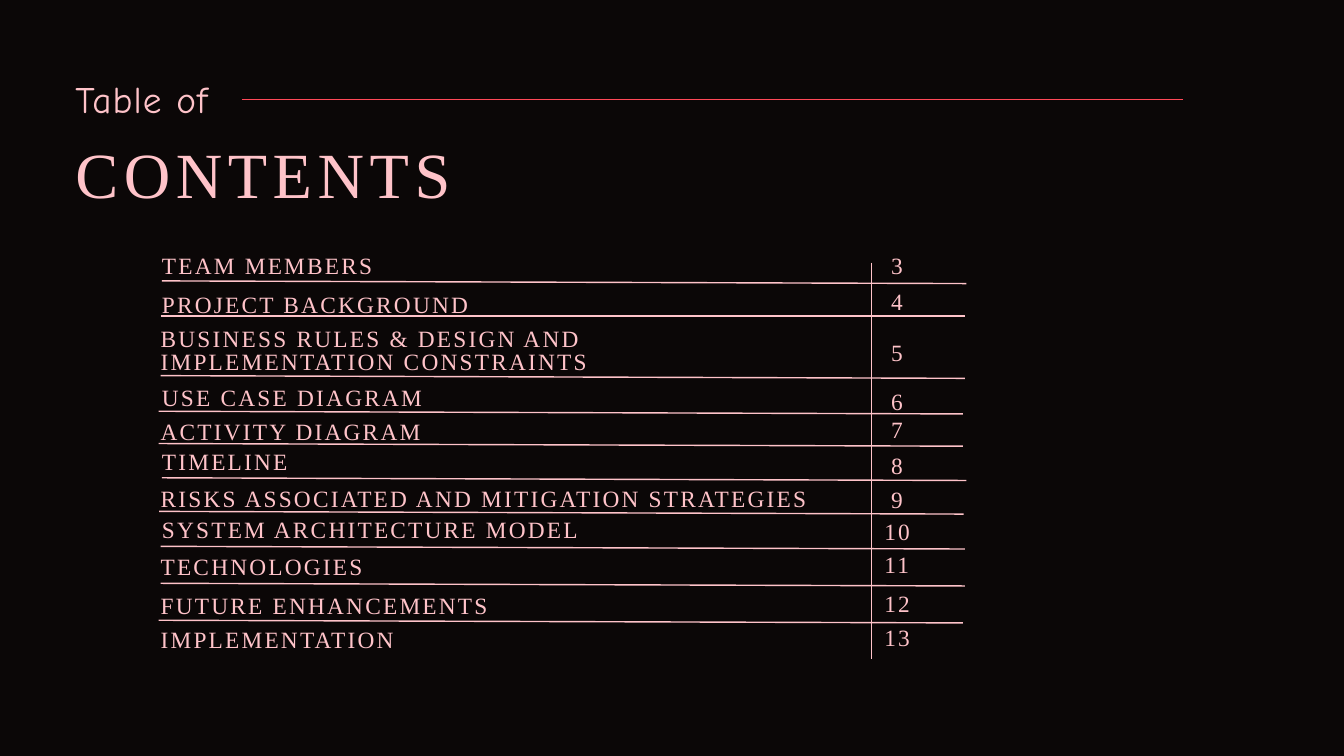
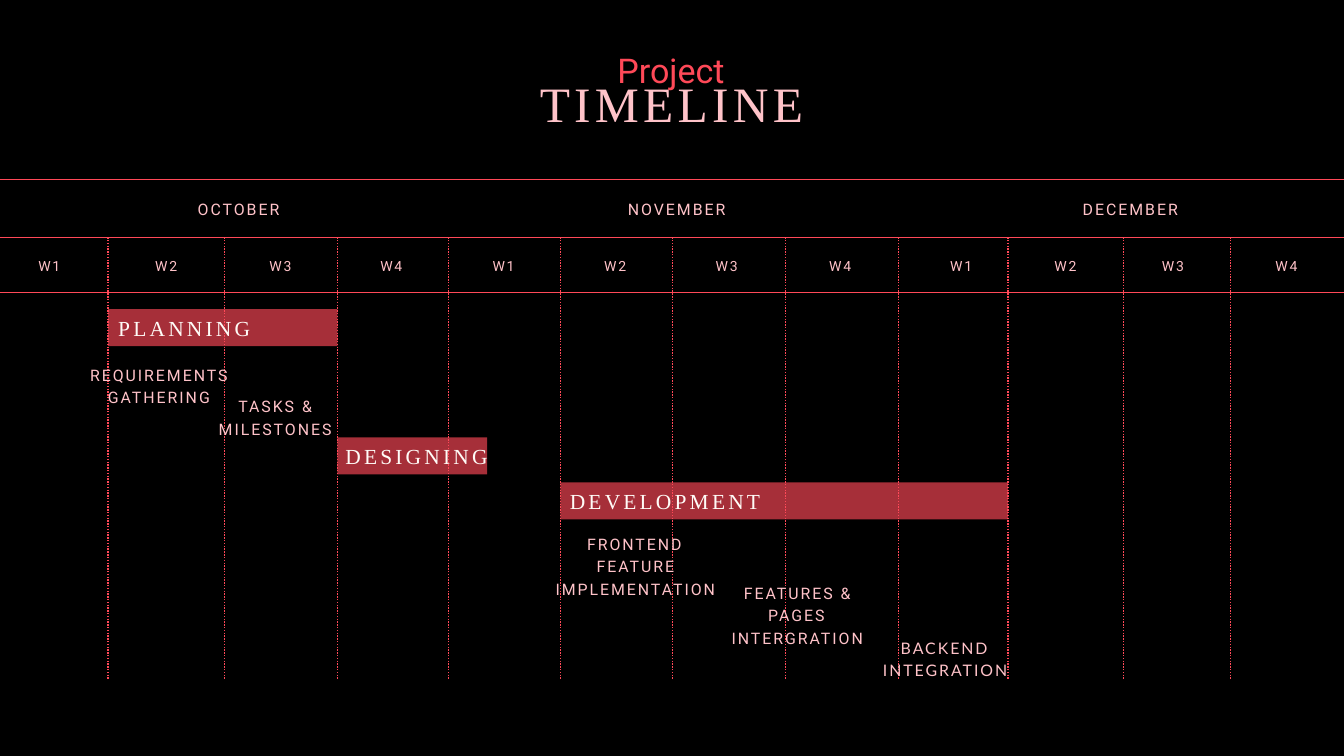
from lxml.etree import SubElement
from pptx import Presentation
from pptx.dml.color import RGBColor
from pptx.enum.dml import MSO_LINE
from pptx.enum.shapes import MSO_CONNECTOR as Link, MSO_SHAPE as Shape
from pptx.enum.text import MSO_ANCHOR as Anchor, MSO_AUTO_SIZE as Fit, PP_ALIGN as Align
from pptx.oxml.ns import qn
from pptx.util import Inches, Pt

WIDE, HIGH = 20, 11.25
PINK, RED, CREAM = "FFC3C9", "FF4958", "FFFBF7"
SERIF, SANS = "Times New Roman", "Roboto"

# style: font, size, colour, letter gap, line pitch
STYLES = {
    "lead": ("Comic Neue", 40, PINK, 1.2, 56),
    "head": (SERIF, 69, PINK, 6, 96.6),
    "entry": (SERIF, 25, PINK, 2.4, 35),
    "tight": (SERIF, 25, PINK, 2.4, 25),
    "kicker": (SANS, 36.5, RED, 0, 51.1),
    "chart head": (SERIF, 53, PINK, 4.6, 57.8),
    "month": (SANS, 17, PINK, 2.1, 23.8),
    "week": (SANS, 15, PINK, 1.9, 21),
    "phase": (SERIF, 23, CREAM, 3.4, 25.1),
    "task": (SANS, 17, PINK, 2.1, 23.8),
    "late task": ("Lato", 17, PINK, 2.1, 23.8),
}

# text, left, top, page, page top
ENTRIES = [
    ("TEAM MEMBERS", 2.41, 3.67, 3, 3.67),
    ("PROJECT BACKGROUND", 2.41, 4.25, 4, 4.2),
    ("BUSINESS RULES & DESIGN AND IMPLEMENTATION CONSTRAINTS", 2.39, 4.89, 5, 4.96),
    ("USE CASE DIAGRAM", 2.41, 5.63, 6, 5.69),
    ("ACTIVITY DIAGRAM", 2.39, 6.14, 7, 6.11),
    ("TIMELINE", 2.41, 6.59, 8, 6.65),
    ("RISKS ASSOCIATED AND MITIGATION STRATEGIES", 2.39, 7.13, 9, 7.15),
    ("SYSTEM ARCHITECTURE MODEL", 2.41, 7.6, 10, 7.63),
    ("TECHNOLOGIES", 2.39, 8.15, 11, 8.12),
    ("FUTURE ENHANCEMENTS", 2.39, 8.73, 12, 8.7),
    ("IMPLEMENTATION", 2.39, 9.24, 13, 9.21),
]
# left, top, drop
RULES = [
    (2.41, 4.18, 0.04), (2.39, 4.7, 0), (2.39, 5.59, 0.04), (2.36, 6.12, 0.04),
    (2.36, 6.6, 0.04), (2.41, 7.11, 0.04), (2.37, 7.61, 0.04), (2.39, 8.13, 0.04),
    (2.39, 8.68, 0.04), (2.36, 9.23, 0.04),
]
RULE_W = 11.97

MONTHS = [("OCTOBER", 2.02), ("NOVEMBER", 8.54), ("DECEMBER", 15.29)]
BANDS = [2.67, 3.53, 4.35]
COLS = [1.61, 3.34, 5.02, 6.67, 8.34, 10.01, 11.69, 13.37, 15, 16.72, 18.31]
WEEKS = [0.57, 2.31, 4.01, 5.66, 7.33, 8.99, 10.65, 12.34, 14.14, 15.69, 17.29, 18.98]
# text, left, right, top, indent
PHASES = [
    ("PLANNING", COLS[0], COLS[2], 4.6, 0.15),
    ("DESIGNING", COLS[2], 7.25, 6.51, 0.12),
    ("DEVELOPMENT", COLS[4], COLS[8], 7.18, 0.14),
]
BAR_H = 0.55
# lines, left, top, width, style
TASKS = [
    (["REQUIREMENTS", "GATHERING"], 1.23, 5.39, 2.27, "task"),
    (["TASKS &", "MILESTONES"], 3.18, 5.86, 1.83, "task"),
    (["FRONTEND FEATURE", "IMPLEMENTATION"], 8.17, 7.91, 2.57, "task"),
    (["FEATURES &", "PAGES INTERGRATION"], 10.57, 8.64, 2.59, "task"),
    (["BACKEND INTEGRATION"], 12.78, 9.46, 2.57, "late task"),
]


def tint(code):
    return RGBColor.from_string(code)


def write(box, lines, style, align):
    face, size, hue, gap, pitch = STYLES[style]
    frame = box.text_frame
    frame.word_wrap = True
    frame.auto_size = Fit.NONE
    frame.vertical_anchor = Anchor.TOP
    frame.margin_left = frame.margin_right = frame.margin_top = frame.margin_bottom = 0
    frame.text = "\n".join(lines)
    for para in frame.paragraphs:
        para.alignment = align
        para.line_spacing = Pt(pitch)
        font = para.font
        font.name, font.size = face, Pt(size)
        font.color.rgb = tint(hue)
        font._rPr.set("spc", str(round(gap * 100)))


def label(slide, lines, at, style, align=Align.LEFT):
    box = slide.shapes.add_textbox(*map(Inches, at))
    write(box, lines, style, align)


def title(slide, text, at, style, align=Align.LEFT):
    box = slide.shapes.title
    box.left, box.top, box.width, box.height = map(Inches, at)
    write(box, [text], style, align)


def line(slide, x1, y1, x2, y2, hue, dots=False):
    link = slide.shapes.add_connector(Link.STRAIGHT, *map(Inches, (x1, y1, x2, y2)))
    link.line.color.rgb = tint(hue)
    link.line.width = Pt(1.5)
    if dots:
        link.line.dash_style = MSO_LINE.ROUND_DOT
    SubElement(link._element.spPr, qn("a:effectLst"))


def bar(slide, left, top, width):
    shape = slide.shapes.add_shape(Shape.RECTANGLE, *map(Inches, (left, top, width, BAR_H)))
    shape.shadow.inherit = False
    shape.line.fill.background()
    shape.fill.solid()
    shape.fill.fore_color.rgb = tint(RED)
    color = shape._element.spPr.find(qn("a:solidFill"))[0]
    SubElement(color, qn("a:alpha"), val="65000")


def page(deck, hue):
    slide = deck.slides.add_slide(deck.slide_layouts[5])
    fill = slide.background.fill
    fill.solid()
    fill.fore_color.rgb = tint(hue)
    return slide


def contents(deck):
    slide = page(deck, "0B0707")
    label(slide, ["Table of"], (1.12, 1.02, 2.58, 0.77), "lead")
    line(slide, 3.6, 1.48, 17.61, 1.48, RED)
    title(slide, "CONTENTS", (1.12, 1.8, 6.68, 1.3), "head")
    for left, top, drop in RULES:
        line(slide, left, top, left + RULE_W, top + drop, PINK)
    line(slide, 12.97, 3.91, 12.97, 9.8, PINK)
    for text, left, top, num, mark in ENTRIES:
        long = len(text) > 50
        size = (7.98, 0.7) if long else (10.3, 0.46)
        label(slide, [text], (left, top, *size), "tight" if long else "entry")
        label(slide, [str(num)], (13.26 if num < 10 else 13.16, mark, 0.45, 0.46), "entry")


def timeline(deck):
    slide = page(deck, "000000")
    for y in BANDS:
        line(slide, 0, y, WIDE, y, RED)
    for x in COLS:
        line(slide, x, 3.53, x, 10.12, RED, True)
    title(slide, "TIMELINE", (5.93, 1.17, 8.13, 0.82), "chart head", Align.CENTER)
    label(slide, ["Project"], (7.4, 0.63, 5.17, 0.69), "kicker", Align.CENTER)
    for text, left in MONTHS:
        label(slide, [text], (left, 2.93, 3.06, 0.34), "month", Align.CENTER)
    for i, left in enumerate(WEEKS):
        label(slide, [f"W{i % 4 + 1}"], (left, 3.79, 0.9, 0.3), "week")
    for text, left, right, top, inset in PHASES:
        bar(slide, left, top, right - left)
        label(slide, [text], (left + inset, top + 0.12, 3.56, 0.36), "phase")
    for lines, left, top, width, style in TASKS:
        label(slide, lines, (left, top, width, 0.67), style, Align.CENTER)


def main():
    deck = Presentation()
    deck.slide_width, deck.slide_height = Inches(WIDE), Inches(HIGH)
    contents(deck)
    timeline(deck)
    deck.save("out.pptx")


if __name__ == "__main__":
    main()
